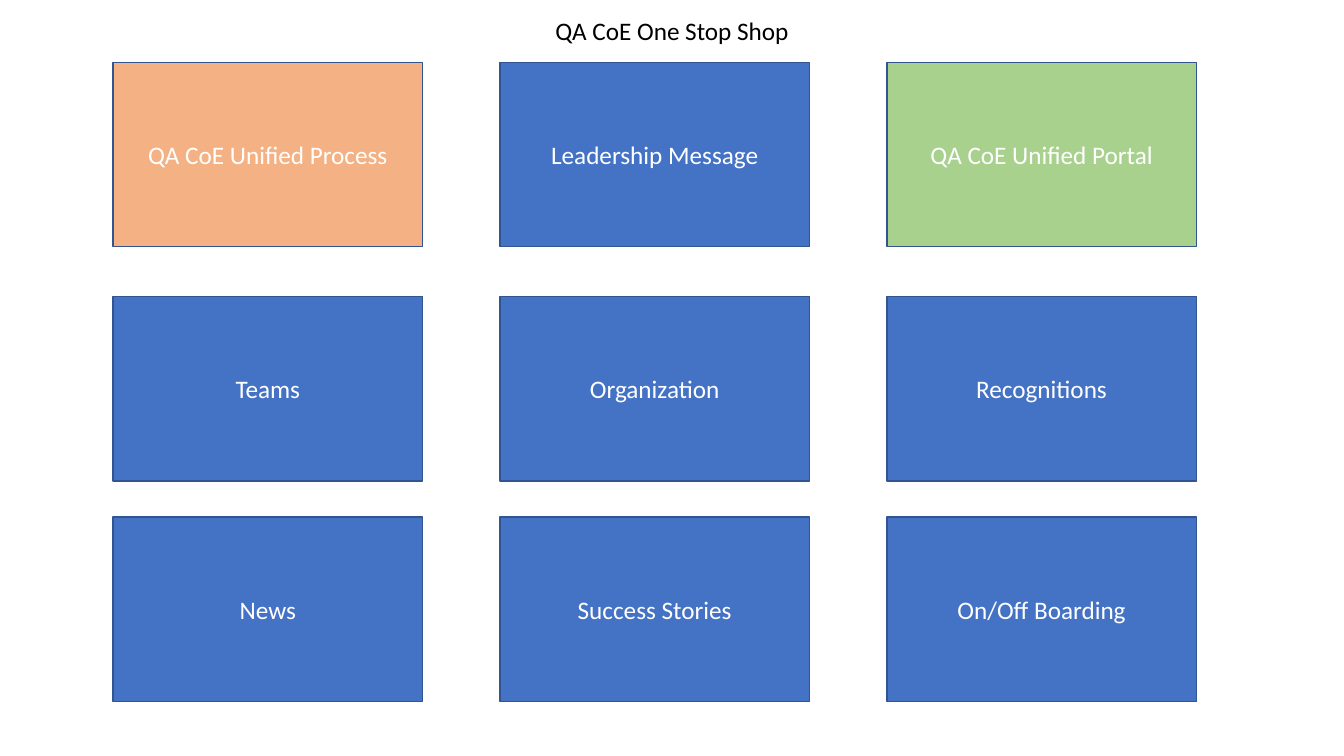
from pptx import Presentation
from pptx.dml.color import RGBColor
from pptx.enum.shapes import MSO_SHAPE
from pptx.enum.text import MSO_ANCHOR, MSO_AUTO_SIZE, PP_ALIGN
from pptx.util import Cm, Pt

BLUE, ORANGE, GREEN = "4472C4", "F4B183", "A9D18E"
OUTLINE, WHITE, BLACK = "325491", "FFFFFF", "000000"


def color(value):
    return RGBColor.from_string(value)


class ShopSlide:
    font = "Calibri"
    size = Pt(18)

    def __init__(self, slide):
        self.slide = slide

    def label(self, frame, text, ink, anchor):
        frame.word_wrap = True
        frame.vertical_anchor = anchor
        paragraph = frame.paragraphs[0]
        paragraph.alignment = PP_ALIGN.CENTER
        run = paragraph.add_run()
        run.text = text
        run.font.name = self.font
        run.font.size = self.size
        run.font.color.rgb = color(ink)

    def title(self, text, left, top, width, height):
        heading = self.slide.shapes.title
        heading.left, heading.top = Cm(left), Cm(top)
        heading.width, heading.height = Cm(width), Cm(height)
        self.label(heading.text_frame, text, BLACK, MSO_ANCHOR.TOP)
        heading.text_frame.auto_size = MSO_AUTO_SIZE.SHAPE_TO_FIT_TEXT

    def tile(self, text, left, top, width, height, fill):
        tile = self.slide.shapes.add_shape(
            MSO_SHAPE.RECTANGLE, Cm(left), Cm(top), Cm(width), Cm(height))
        tile.shadow.inherit = False
        tile.fill.solid()
        tile.fill.fore_color.rgb = color(fill)
        tile.line.color.rgb = color(OUTLINE)
        tile.line.width = Pt(1)
        self.label(tile.text_frame, text, WHITE, MSO_ANCHOR.MIDDLE)


def main():
    presentation = Presentation()
    presentation.slide_width, presentation.slide_height = Cm(33.87), Cm(19.05)
    shop = ShopSlide(presentation.slides.add_slide(presentation.slide_layouts[5]))
    shop.title("QA CoE One Stop Shop", 0, 0.25, 33.87, 1.03)

    rows = [
        (1.57, ["QA CoE Unified Process", "Leadership Message", "QA CoE Unified Portal"]),
        (7.47, ["Teams", "Organization", "Recognitions"]),
        (13.03, ["News", "Success Stories", "On/Off Boarding"]),
    ]
    highlights = {"QA CoE Unified Process": ORANGE, "QA CoE Unified Portal": GREEN}
    for top, topics in rows:
        for column, topic in enumerate(topics):
            shop.tile(topic, 2.85 + 9.75 * column, top, 7.8, 4.65,
                      highlights.get(topic, BLUE))

    presentation.save("out.pptx")


if __name__ == "__main__":
    main()
